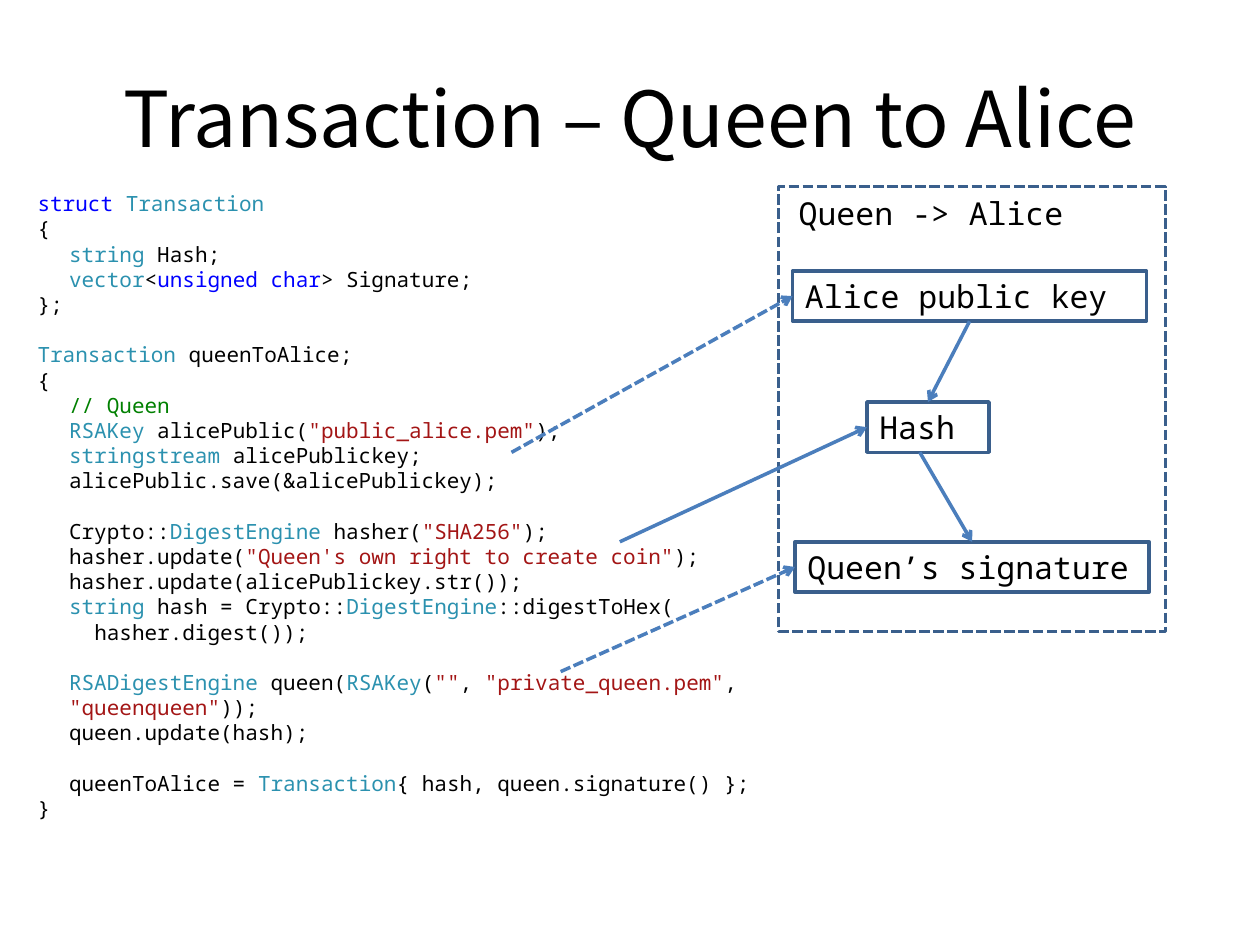
import pptx
import pptx.util
import pptx.dml.color
import pptx.enum.dml
import pptx.enum.shapes
import pptx.enum.text
import lxml.etree

Pt = pptx.util.Pt
RGB = pptx.dml.color.RGBColor.from_string
DASH = pptx.enum.dml.MSO_LINE.SQUARE_DOT
RECT = pptx.enum.shapes.MSO_SHAPE.RECTANGLE
LINE = pptx.enum.shapes.MSO_CONNECTOR.STRAIGHT
MID = pptx.enum.text.MSO_ANCHOR.MIDDLE
TOP = pptx.enum.text.MSO_ANCHOR.TOP
LEFT = pptx.enum.text.PP_ALIGN.LEFT
CENTER = pptx.enum.text.PP_ALIGN.CENTER

theme = {
    "plain": "000000", "key": "0000FF", "type": "2B91AF",
    "str": "A31515", "note": "008000",
    "edge": "3A5F8C", "arrow": "4B7EBC",
    "sans": "Noto Sans CJK KR", "mono": "Noto Sans Mono",
    "title": 44, "label": 18, "code": 12, "pitch": 14.4, "line": 2,
}

# Content: code blocks hold lines of (indent, runs); a run is (colour, text)
title = "Transaction – Queen to Alice"
P, K, T, S, N = "plain", "key", "type", "str", "note"
blocks = [
    [
        (0, [(K, "struct"), (P, " "), (T, "Transaction")]),
        (0, [(P, "{")]),
        (18, [(T, "string"), (P, " Hash;")]),
        (18, [(T, "vector"), (P, "<"), (K, "unsigned"), (P, " "),
              (K, "char"), (P, "> Signature;")]),
        (0, [(P, "};")]),
    ],
    [
        (0, [(T, "Transaction"), (P, " queenToAlice;")]),
        (0, [(P, "{")]),
        (18, [(N, "// Queen")]),
        (18, [(T, "RSAKey"), (P, " alicePublic("),
              (S, '"public_alice.pem"'), (P, ");")]),
        (18, [(T, "stringstream"), (P, " alicePublickey;")]),
        (18, [(P, "alicePublic.save(&alicePublickey);")]),
    ],
    [
        (18, [(P, "Crypto::"), (T, "DigestEngine"), (P, " hasher("),
              (S, '"SHA256"'), (P, ");")]),
        (18, [(P, "hasher.update("),
              (S, '"Queen\'s own right to create coin"'), (P, ");")]),
        (18, [(P, "hasher.update(alicePublickey.str());")]),
        (18, [(T, "string"), (P, " hash = Crypto::"),
              (T, "DigestEngine"), (P, "::digestToHex(")]),
        (32.4, [(P, "hasher.digest());")]),
    ],
    [
        (18, [(T, "RSADigestEngine"), (P, " queen("), (T, "RSAKey"),
              (P, "("), (S, '""'), (P, ", "), (S, '"private_queen.pem"'),
              (P, ", "), (S, '"queenqueen"'), (P, "));")]),
        (18, [(P, "queen.update(hash);")]),
    ],
    [
        (18, [(P, "queenToAlice = "), (T, "Transaction"),
              (P, "{ hash, queen.signature() };")]),
        (0, [(P, "}")]),
    ],
]
# Nodes: name, text, left, top, width
nodes = [
    ("owner", "Alice public key", 452.9, 154.8, 202.3),
    ("hash", "Hash", 495.4, 229.7, 69.8),
    ("sign", "Queen’s signature", 454.3, 309.6, 202.3),
]
high = 28.8
# Arrows: start (point or node), end node, end site, dashed
top, left, bottom = 0, 1, 2
arrows = [
    ((292.3, 258.5), "owner", left, True),
    ((354.2, 309.6), "hash", left, False),
    ("owner", "hash", top, False),
    ((525.6, 258.5), "sign", top, False),
    ((320.4, 383.8), "sign", left, True),
]

deck = pptx.Presentation()
deck.slide_width, deck.slide_height = Pt(720), Pt(540)
slide = deck.slides.add_slide(deck.slide_layouts[5])
shapes = slide.shapes


def place(left, top, width, height):
    return [Pt(v) for v in (left, top, width, height)]


def write(para, text, size, font, color="plain"):
    run = para.add_run()
    run.text = text
    run.font.size = Pt(size)
    run.font.name = font
    run.font.color.rgb = RGB(theme[color])


def stroke(line, color, dashed):
    line.color.rgb = RGB(theme[color])
    line.width = Pt(theme["line"])
    if dashed:
        line.dash_style = DASH


def box(spot, dashed=False):
    shape = shapes.add_shape(RECT, *place(*spot))
    shape.shadow.inherit = False
    shape.fill.background()
    stroke(shape.line, "edge", dashed)
    return shape


def label(shape, text):
    frame = shape.text_frame
    frame.word_wrap = True
    frame.vertical_anchor = MID
    para = frame.paragraphs[0]
    para.alignment = LEFT
    write(para, text, theme["label"], theme["mono"])


# Title
head = shapes.title
head.left, head.top, head.width, head.height = place(36, 21.6, 648, 90)
head.text_frame.vertical_anchor = MID
para = head.text_frame.paragraphs[0]
para.alignment = CENTER
write(para, title, theme["title"], theme["sans"])

# Code listing; a block starts one line lower than the one before ends
frame = shapes.add_textbox(*place(14.4, 104.4, 515.5, 356.4)).text_frame
frame.word_wrap = True
frame.vertical_anchor = TOP
frame.margin_top = Pt(4.6)
para = frame.paragraphs[0]
for i, block in enumerate(blocks):
    for j, (indent, runs) in enumerate(block):
        if i or j:
            para = frame.add_paragraph()
        para.line_spacing = Pt(theme["pitch"])
        para.space_before = Pt(theme["pitch"] if i and not j else 0)
        para._p.get_or_add_pPr().set("marL", str(Pt(indent)))
        for color, text in runs:
            write(para, text, theme["code"], theme["mono"], color)

# Transaction frame and its nodes
box((445, 106.6, 221, 254.2), True)
label(shapes.add_textbox(*place(449.3, 107.3, 190.8, high)), "Queen -> Alice")
made = {}
for name, text, x, y, width in nodes:
    made[name] = box((x, y, width, high))
    label(made[name], text)

# Arrows
NS = "{http://schemas.openxmlformats.org/drawingml/2006/main}"
for start, end, site, dashed in arrows:
    free = not isinstance(start, str)
    x, y = start if free else (0, 0)
    link = shapes.add_connector(LINE, Pt(x), Pt(y), Pt(x), Pt(y))
    if not free:
        link.begin_connect(made[start], bottom)
    link.end_connect(made[end], site)
    stroke(link.line, "arrow", dashed)
    tail = lxml.etree.SubElement(link.line._get_or_add_ln(), NS + "tailEnd")
    tail.set("type", "arrow")
    lxml.etree.SubElement(link._element.spPr, NS + "effectLst")

deck.save("out.pptx")
